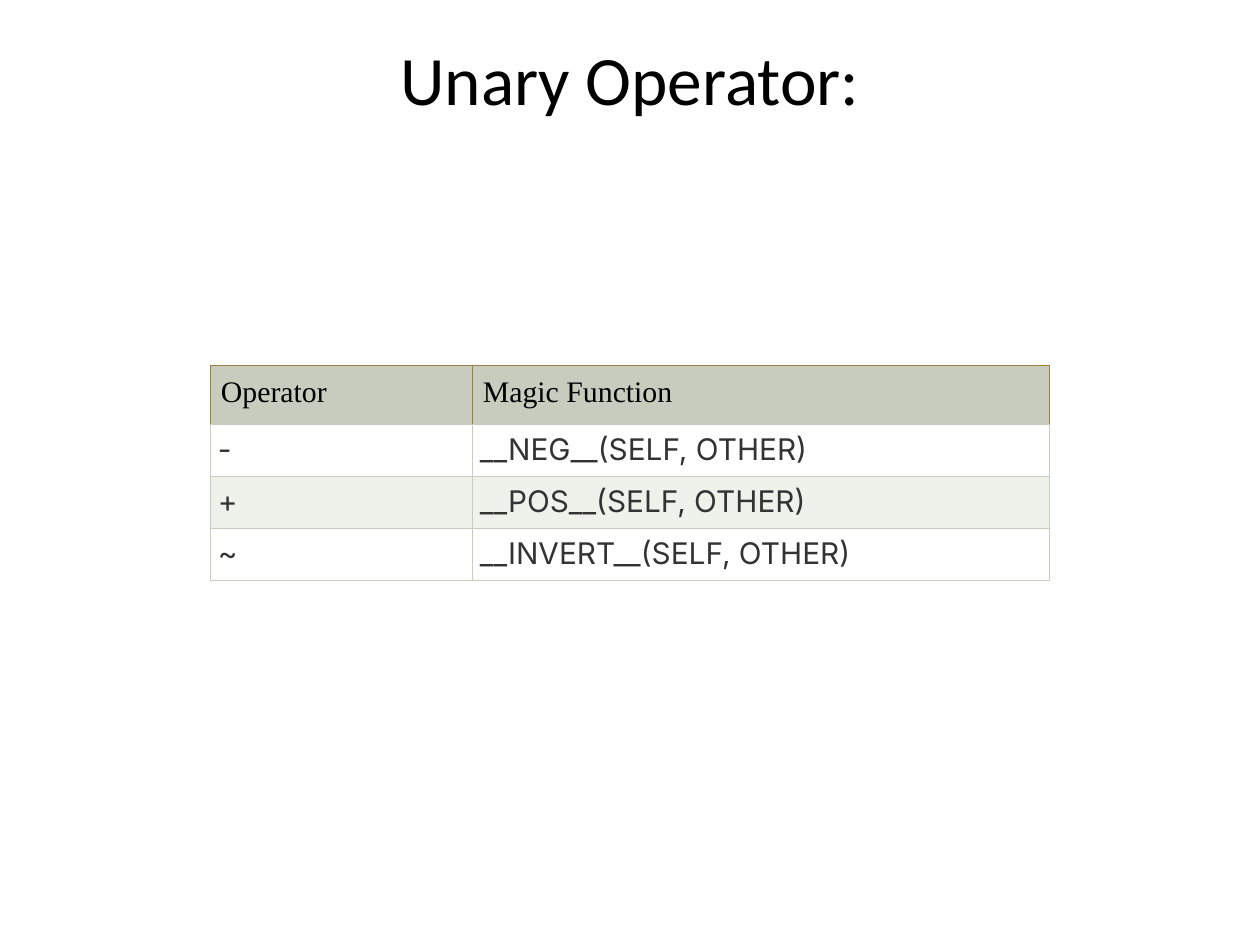
from lxml import etree
from pptx import Presentation
from pptx import util as u
from pptx.dml.color import RGBColor
from pptx.enum import text
from pptx.oxml import ns

SCALE = u.Inches(1) // 126
COLS = (262, 578)
ROWS = (59, 52, 52, 52)
FILLS = ("C7CCBE", "FFFFFF", "EFF1EB", "FFFFFF")
CELLS = (
    ("Operator", "Magic Function"),
    ("-", "__NEG__(SELF, OTHER)"),
    ("+", "__POS__(SELF, OTHER)"),
    ("~", "__INVERT__(SELF, OTHER)"),
)


def px(n):
    """Turn pixels into EMU."""
    return u.Emu(n * SCALE)


def rgb(value):
    """Turn a hex string into a colour."""
    return RGBColor.from_string(value)


def write(tf, words, font="Calibri", size=17, color="000000", align=None):
    """Write one formatted paragraph into a text frame."""
    p = tf.paragraphs[0]
    p.alignment = align
    r = p.add_run()
    r.text = words
    r.font.name = font
    r.font.size = u.Pt(size)
    r.font.color.rgb = rgb(color)


def add_title(s, words):
    """Add the centred title."""
    tf = s.shapes.add_textbox(px(63), px(36), px(1134), px(157)).text_frame
    tf.word_wrap = True
    tf.vertical_anchor = text.MSO_ANCHOR.TOP
    tf.margin_left = tf.margin_right = px(12)
    tf.margin_top = tf.margin_bottom = 0
    write(tf, words, size=39.6, align=text.PP_ALIGN.CENTER)


def set_borders(cell, **colors):
    """Draw the cell borders, keyed by side, ahead of the fill."""
    tc_pr = cell._tc.get_or_add_tcPr()
    for i, (side, color) in enumerate(colors.items()):
        ln = etree.Element(ns.qn(f"a:ln{side}"), w=str(u.Pt(0.6)))
        fill = etree.SubElement(ln, ns.qn("a:solidFill"))
        etree.SubElement(fill, ns.qn("a:srgbClr"), val=color)
        tc_pr.insert(i, ln)


def fill_cell(cell, words, fill, header):
    """Format one cell as a header or body cell."""
    margin = px(11 if header else 8)
    cell.margin_left = cell.margin_right = margin
    cell.margin_top = cell.margin_bottom = margin
    cell.fill.solid()
    cell.fill.fore_color.rgb = rgb(fill)
    edge = "A0803F" if header else "C7CCBE"
    set_borders(cell, L=edge, R=edge, T=edge if header else "C7CCBE", B="C7CCBE")
    if header:
        write(cell.text_frame, words, font="Times New Roman")
    else:
        write(cell.text_frame, words, font="Inter", color="333333",
              align=text.PP_ALIGN.JUSTIFY)


def add_operator_table(s):
    """Add the table of operators and their magic functions."""
    table = s.shapes.add_table(len(ROWS), len(COLS), px(210), px(365),
                               px(sum(COLS)), px(sum(ROWS))).table
    for col, width in zip(table.columns, COLS):
        col.width = px(width)
    for i, (row, height) in enumerate(zip(table.rows, ROWS)):
        row.height = px(height)
        for cell, words in zip(row.cells, CELLS[i]):
            fill_cell(cell, words, FILLS[i], header=i == 0)


def main():
    """Build and save the slide."""
    prs = Presentation()
    prs.slide_width, prs.slide_height = px(1260), px(945)
    s = prs.slides.add_slide(prs.slide_layouts[6])
    add_title(s, "Unary Operator:")
    add_operator_table(s)
    prs.save("out.pptx")


if __name__ == "__main__":
    main()
